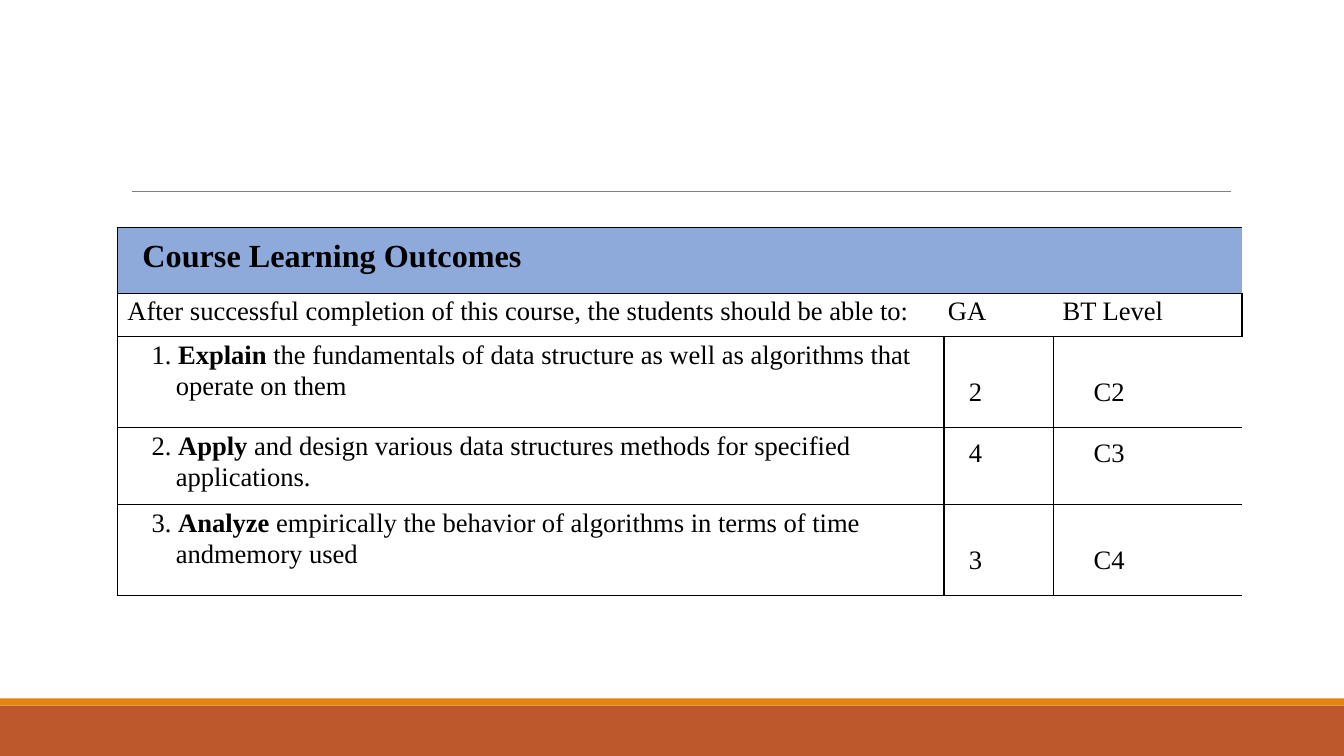
import lxml.etree
import pptx
import pptx.dml.color
import pptx.enum.shapes
import pptx.oxml.ns
import pptx.util

Cm = pptx.util.Cm
Pt = pptx.util.Pt
RGBColor = pptx.dml.color.RGBColor
qn = pptx.oxml.ns.qn

RUST = RGBColor(0xBD, 0x58, 0x2C)
ORANGE = RGBColor(0xE4, 0x83, 0x12)
GRAY = RGBColor(0x80, 0x80, 0x80)
BLUE = RGBColor(0x8E, 0xAA, 0xDB)
BLACK = RGBColor(0, 0, 0)

FONT = "Times New Roman"
TEXT_SIZE = 19
HEADING_SIZE = 23

SLIDE_WIDTH, SLIDE_HEIGHT = Cm(33.87), Cm(19.05)
COLUMN_WIDTHS = [20.83, 2.0, 0.76, 3.79, 0.76]
ROW_HEIGHTS = [1.66, 1.09, 2.3, 1.93, 2.3]
NARROW_MARGINS = (0.05, 0.05, 0.05, 0)
LEVEL_TOP, LOW_LEVEL_TOP = 0.23, 1.0

INTRODUCTION = [
    (0, "After successful completion of this course, the students should be able to:", 0.2),
    (1, "GA", 0.05),
    (3, "BT Level", 0.18),
]
OUTCOMES = [
    ("1. ", "Explain ", "the fundamentals of data structure as well as algorithms that operate on them",
     "2", "C2", LOW_LEVEL_TOP),
    ("2. ", "Apply ", "and design various data structures methods for specified applications.",
     "4", "C3", LEVEL_TOP),
    ("3. ", "Analyze ", "empirically the behavior of algorithms in terms of time andmemory used",
     "3", "C4", LOW_LEVEL_TOP),
]


def add_bar(slide, left, top, width, height, color):
    bar = slide.shapes.add_shape(
        pptx.enum.shapes.MSO_SHAPE.RECTANGLE, left, top, width, height)
    bar.shadow.inherit = False
    bar.fill.solid()
    bar.fill.fore_color.rgb = color
    bar.line.fill.background()


def add_footer(slide, left, top, width, height):
    stripe_height = Cm(0.18)
    add_bar(slide, left, top + stripe_height, width, height - stripe_height, RUST)
    add_bar(slide, left, top, width, stripe_height, ORANGE)


def add_title_rule(slide, left, top, width):
    rule = slide.shapes.add_connector(
        pptx.enum.shapes.MSO_CONNECTOR.STRAIGHT, left, top, left + width, top)
    rule.line.color.rgb = GRAY
    rule.line.width = Pt(0.5)
    lxml.etree.SubElement(rule._element.spPr, qn("a:effectLst"))


def set_borders(cell, is_first, is_last):
    """Rule the cell above and below, and at the sides where its group ends."""
    properties = cell._tc.get_or_add_tcPr()
    sides = {"L": is_first, "R": is_last, "T": True, "B": True}
    for side, is_ruled in sides.items():
        border = lxml.etree.SubElement(properties, qn(f"a:ln{side}"), w=str(Pt(1)))
        if is_ruled:
            fill = lxml.etree.SubElement(border, qn("a:solidFill"))
            lxml.etree.SubElement(fill, qn("a:srgbClr"), val=str(BLACK))
        else:
            lxml.etree.SubElement(border, qn("a:noFill"))


def format_row(table, row_index, groups, color=None):
    """Border and fill one row; groups are pairs of first and last column."""
    for first, last in groups:
        for column in range(first, last + 1):
            cell = table.cell(row_index, column)
            set_borders(cell, column == first, column == last)
            if color is None:
                cell.fill.background()
            else:
                cell.fill.solid()
                cell.fill.fore_color.rgb = color


def write_cell(cell, runs, margins, indent, hanging=0, size=TEXT_SIZE):
    """Write (text, bold) runs; margins are left, top, right, bottom in cm."""
    (cell.margin_left, cell.margin_top,
     cell.margin_right, cell.margin_bottom) = map(Cm, margins)
    paragraph = cell.text_frame.paragraphs[0]
    properties = paragraph._p.get_or_add_pPr()
    properties.set("marL", str(Cm(indent)))
    properties.set("indent", str(-Cm(hanging)))
    paragraph.line_spacing = 1.07
    for text, bold in runs:
        run = paragraph.add_run()
        run.text = text
        run.font.name = FONT
        run.font.size = Pt(size)
        run.font.bold = bold
        run.font.color.rgb = BLACK


def fill_heading(table):
    table.cell(0, 0).merge(table.cell(0, 4))
    format_row(table, 0, [(0, 4)], BLUE)
    write_cell(table.cell(0, 0), [("Course Learning Outcomes", True)],
               (0.43, 0.23, 0.43, 0.23), 0.2, size=HEADING_SIZE)


def fill_introduction(table):
    format_row(table, 1, [(0, 4)])
    for column, text, indent in INTRODUCTION:
        write_cell(table.cell(1, column), [(text, False)], NARROW_MARGINS, indent)


def fill_outcome(table, row_index, outcome):
    number, verb, description, attribute, level, level_top = outcome
    for first in (1, 3):
        table.cell(row_index, first).merge(table.cell(row_index, first + 1))
    format_row(table, row_index, [(0, 0), (1, 2), (3, 4)])
    write_cell(table.cell(row_index, 0),
               [(number, False), (verb, True), (description, False)],
               NARROW_MARGINS, 1.42, hanging=0.61)
    level_margins = (0.43, level_top, 0.43, 0.23)
    write_cell(table.cell(row_index, 1), [(attribute, False)], level_margins, 0.2)
    write_cell(table.cell(row_index, 3), [(level, False)], level_margins, 0.58)


def add_outcomes_table(slide, left, top):
    frame = slide.shapes.add_table(
        len(ROW_HEIGHTS), len(COLUMN_WIDTHS), left, top,
        Cm(sum(COLUMN_WIDTHS)), Cm(sum(ROW_HEIGHTS)))
    table = frame.table
    table.first_row = False
    table.horz_banding = False
    for column, width in zip(table.columns, COLUMN_WIDTHS):
        column.width = Cm(width)
    for row, height in zip(table.rows, ROW_HEIGHTS):
        row.height = Cm(height)
    fill_heading(table)
    fill_introduction(table)
    for row_index, outcome in enumerate(OUTCOMES, start=2):
        fill_outcome(table, row_index, outcome)


def main():
    presentation = pptx.Presentation()
    presentation.slide_width = SLIDE_WIDTH
    presentation.slide_height = SLIDE_HEIGHT
    slide = presentation.slides.add_slide(presentation.slide_layouts[6])
    footer_height = Cm(1.45)
    add_footer(slide, 0, SLIDE_HEIGHT - footer_height, SLIDE_WIDTH, footer_height)
    add_title_rule(slide, Cm(3.33), Cm(4.82), Cm(27.68))
    add_outcomes_table(slide, Cm(2.96), Cm(5.73))
    presentation.save("out.pptx")


if __name__ == "__main__":
    main()
